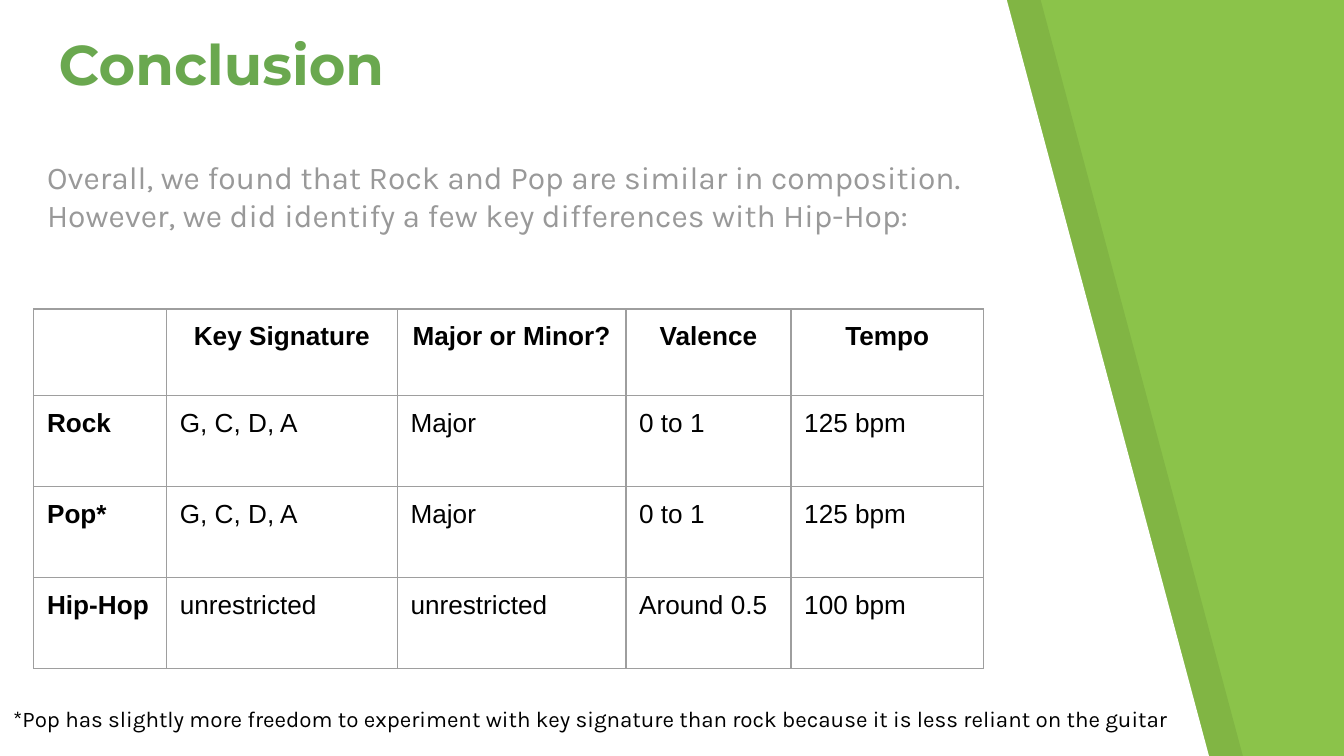
from lxml import etree
from pptx import Presentation
from pptx.dml.color import RGBColor
from pptx.enum.text import MSO_ANCHOR, PP_ALIGN
from pptx.oxml.ns import qn
from pptx.util import Cm, Pt

LEFT, CENTER = PP_ALIGN.LEFT, PP_ALIGN.CENTER
TOP, BOTTOM = MSO_ANCHOR.TOP, MSO_ANCHOR.BOTTOM

COLORS = {
    "background": "8BC34A",
    "panel": "FFFFFF",
    "shade": "000000",
    "title": "6AA84F",
    "intro": "999999",
    "text": "000000",
    "border": "9E9E9E",
}
INSET = Cm(0.25)
PANEL = [(0, -0.03), (0, 14.33), (22.86, 14.33), (19.02, -0.03)]
COLUMNS = [2.51, 4.36, 4.32, 3.12, 3.64]
ROWS = [1.63, 1.72, 1.72, 1.72]
FINDINGS = [
    ["", "Key Signature", "Major or Minor?", "Valence", "Tempo"],
    ["Rock", "G, C, D, A", "Major", "0 to 1", "125 bpm"],
    ["Pop*", "G, C, D, A", "Major", "0 to 1", "125 bpm"],
    ["Hip-Hop", "unrestricted", "unrestricted", "Around 0.5", "100 bpm"],
]


class Deck:
    def __init__(self, width, height):
        self.prs = Presentation()
        self.prs.slide_width, self.prs.slide_height = Cm(width), Cm(height)
        self.s = None

    def color(self, name):
        return RGBColor.from_string(COLORS[name])

    def slide(self, background):
        self.s = self.prs.slides.add_slide(self.prs.slide_layouts[6])
        fill = self.s.background.fill
        fill.solid()
        fill.fore_color.rgb = self.color(background)

    def panel(self, points, color, dx=0, alpha=100):
        corners = [(Cm(x + dx), Cm(y)) for x, y in points]
        builder = self.s.shapes.build_freeform(*corners[0])
        builder.add_line_segments(corners[1:], close=True)
        sp = builder.convert_to_shape()
        sp.shadow.inherit = False
        sp.line.fill.background()
        sp.fill.solid()
        sp.fill.fore_color.rgb = self.color(color)
        if alpha < 100:
            clr = sp._element.spPr.find(qn("a:solidFill"))[0]
            etree.SubElement(clr, qn("a:alpha"), val=str(alpha * 1000))

    def run(self, p, text, size, font, color, bold=False):
        r = p.add_run()
        r.text = text
        r.font.size, r.font.name, r.font.bold = Pt(size), font, bold
        r.font.color.rgb = self.color(color)

    def text(self, x, y, w, h, text, size, font, color, bold=False, anchor=TOP):
        tf = self.s.shapes.add_textbox(Cm(x), Cm(y), Cm(w), Cm(h)).text_frame
        tf.word_wrap = True
        tf.vertical_anchor = anchor
        tf.margin_left = tf.margin_right = INSET
        tf.margin_top = tf.margin_bottom = INSET
        self.run(tf.paragraphs[0], text, size, font, color, bold)

    def borders(self, cell, color, width):
        tcPr = cell._tc.get_or_add_tcPr()
        for side in ("lnL", "lnR", "lnT", "lnB"):
            ln = etree.SubElement(tcPr, qn(f"a:{side}"), w=str(Pt(width)))
            fill = etree.SubElement(ln, qn("a:solidFill"))
            etree.SubElement(fill, qn("a:srgbClr"), val=COLORS[color])

    def table(self, x, y, columns, rows, data):
        table = self.s.shapes.add_table(
            len(rows), len(columns), Cm(x), Cm(y), Cm(sum(columns)), Cm(sum(rows))
        ).table
        table.first_row = table.horz_banding = False
        for column, width in zip(table.columns, columns):
            column.width = Cm(width)
        for row, height in zip(table.rows, rows):
            row.height = Cm(height)
        for i, values in enumerate(data):
            for j, value in enumerate(values):
                cell = table.cell(i, j)
                self.borders(cell, "border", 0.75)
                cell.fill.background()
                cell.margin_left = cell.margin_right = INSET
                cell.margin_top = cell.margin_bottom = INSET
                p = cell.text_frame.paragraphs[0]
                p.alignment = CENTER if i == 0 else LEFT
                if value:
                    self.run(p, value, 14, "Arial", "text", bold=i == 0 or j == 0)


def main():
    deck = Deck(25.4, 14.29)
    deck.slide("background")
    deck.panel(PANEL, "shade", dx=0.64, alpha=7)
    deck.panel(PANEL, "panel")
    deck.text(0.86, 0.48, 23.67, 1.6, "Conclusion", 30, "Montserrat", "title",
              bold=True, anchor=BOTTOM)
    deck.text(0.64, 2.74, 18.52, 1.96,
              "Overall, we found that Rock and Pop are similar in composition. "
              "However, we did identify a few key differences with Hip-Hop:",
              17, "Karla", "intro")
    deck.table(0.64, 5.84, COLUMNS, ROWS, FINDINGS)
    deck.text(0, 13.08, 23.09, 1.02,
              "*Pop has slightly more freedom to experiment with key signature "
              "than rock because it is less reliant on the guitar",
              12, "Karla", "text")
    deck.prs.save("out.pptx")


if __name__ == "__main__":
    main()
